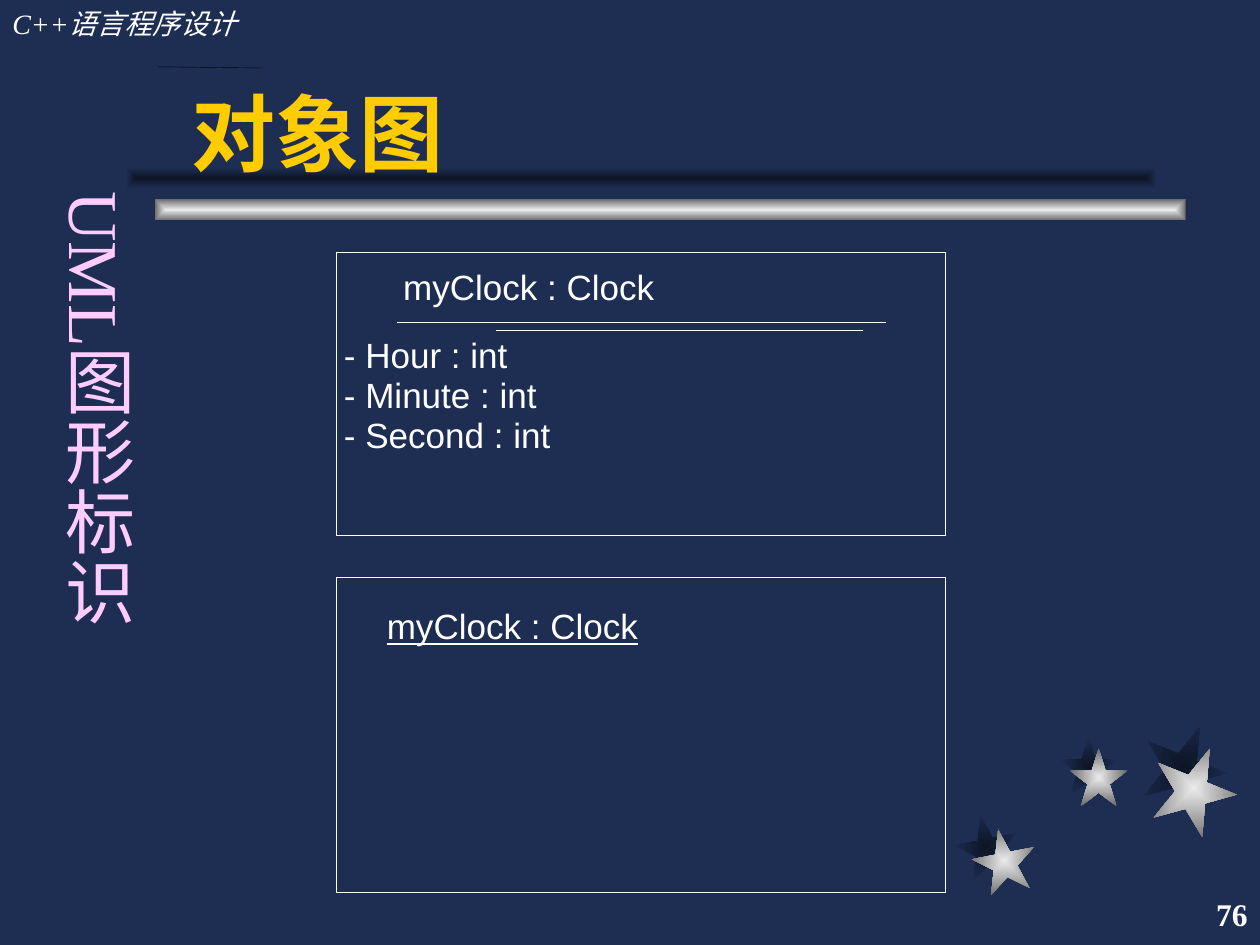
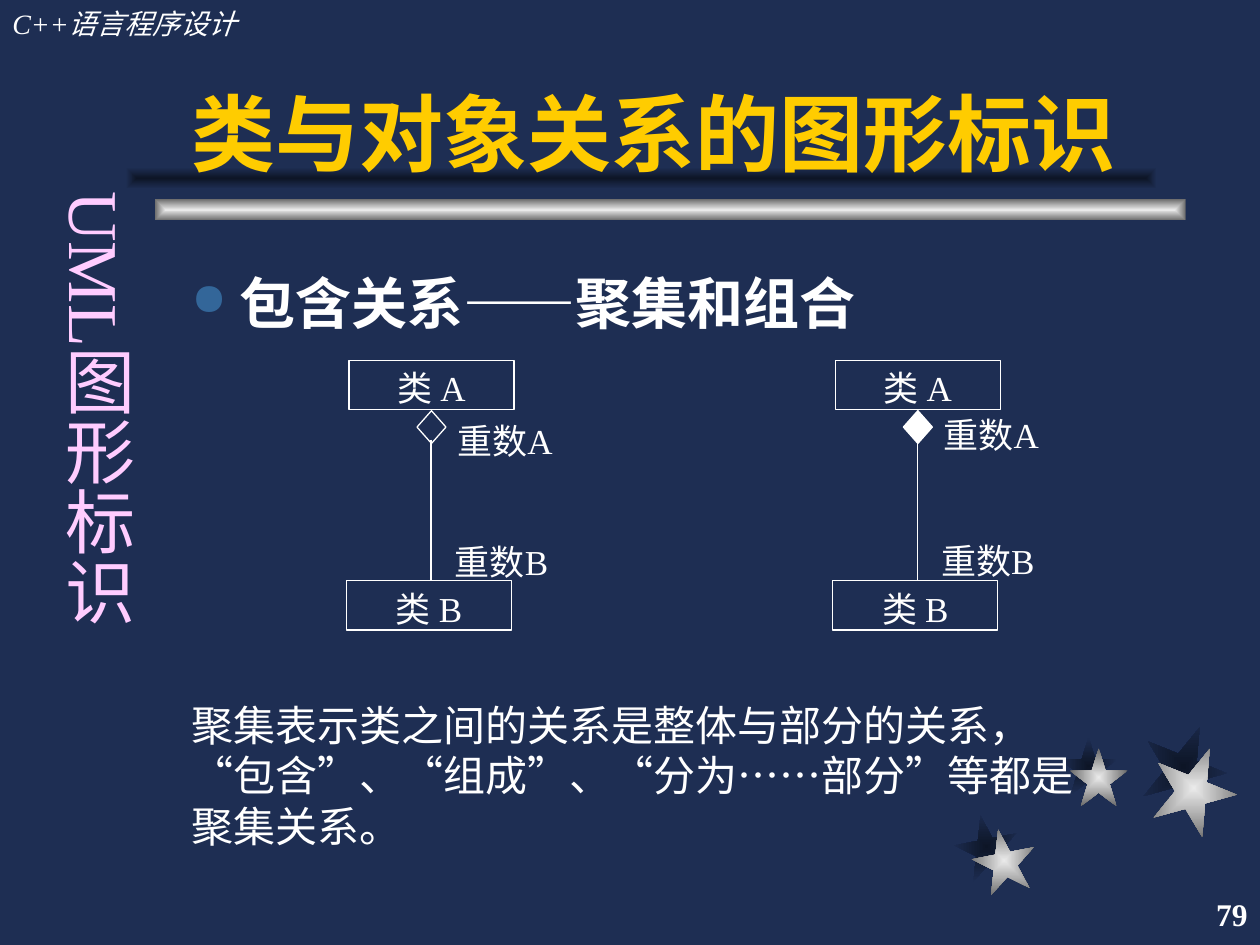
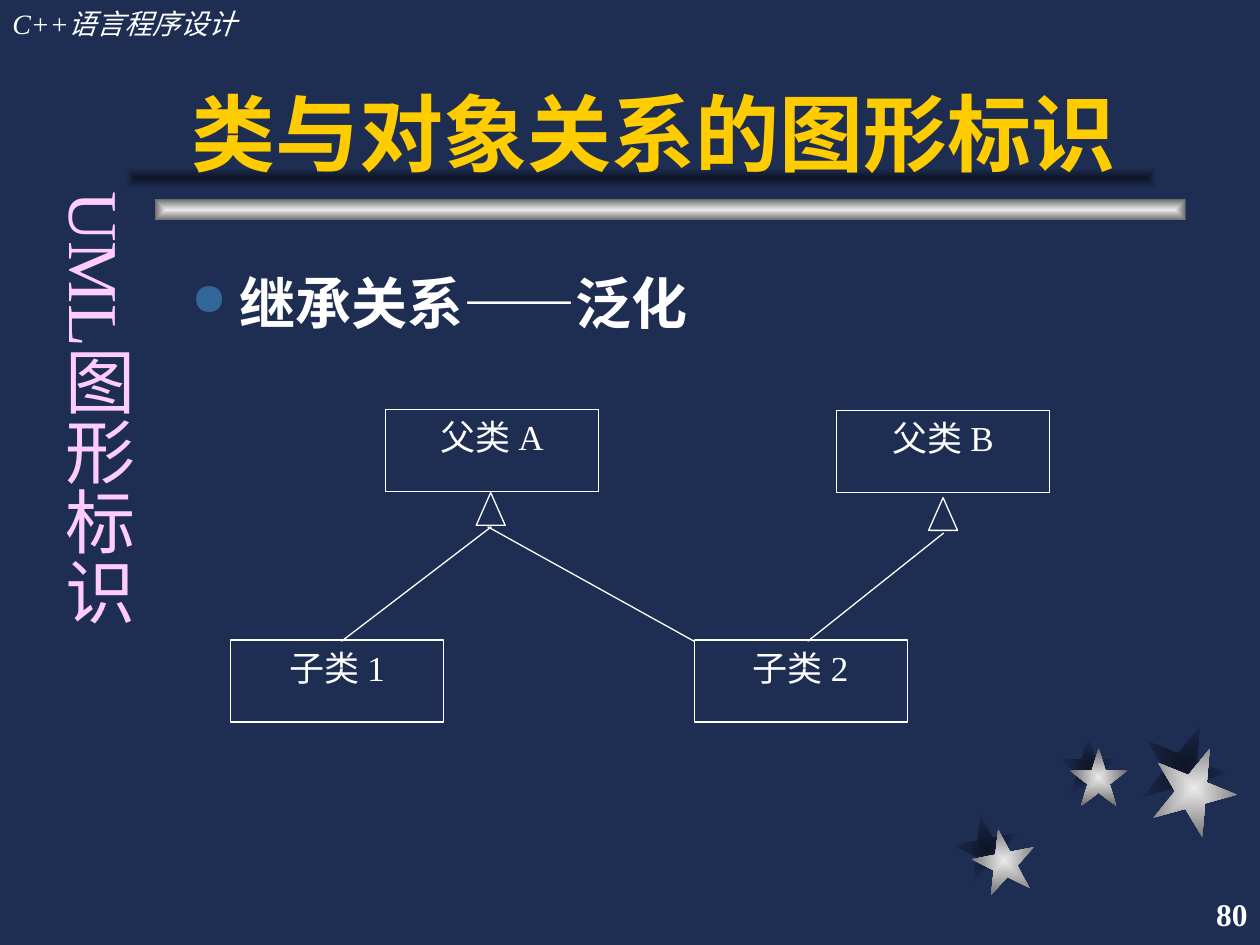
"""Build three slides on UML signs for objects, containment and inheritance."""
from dataclasses import dataclass, replace
from typing import NamedTuple, Optional

from lxml.etree import SubElement
from pptx import Presentation
from pptx.dml.color import RGBColor as Rgb
from pptx.enum.shapes import MSO_CONNECTOR as Link, MSO_SHAPE as Kind
from pptx.enum.text import MSO_ANCHOR as Anchor, MSO_AUTO_SIZE as Fit, PP_ALIGN as Align
from pptx.oxml.ns import qn
from pptx.util import Inches, Pt


@dataclass(frozen=True)
class Look:
    size: float
    font: str = "Times New Roman"
    color: str = "FFFFFF"
    bold: bool = False
    italic: bool = False
    under: bool = False


@dataclass(frozen=True)
class Theme:
    back: str = "1E2E53"
    shade: tuple = ("0D1526", "1E2E53")
    metal: tuple = ("EAEAEA", "6B6B6B")
    white: str = "FFFFFF"
    black: str = "000000"
    dot: str = "336699"
    hair: float = 0.25
    thin: float = 0.75
    head: Look = Look(16, italic=True)
    title: Look = Look(48, "Arial", "FFCC00", bold=True)
    point: Look = Look(32, "Arial", bold=True)
    side: Look = Look(40, color="FFCCFF")
    code: Look = Look(20, "Arial")
    node: Look = Look(20)
    note: Look = Look(24)
    page: Look = Look(18, bold=True)


class Box(NamedTuple):
    left: float
    top: float
    wide: float
    high: float


class Deco(NamedTuple):
    kind: Kind
    box: Box
    tones: tuple
    turn: float = 0


class Line(NamedTuple):
    x1: float
    y1: float
    x2: float
    y2: float


class Node(NamedTuple):
    text: str
    box: Box


T = Theme()
STAR, BAR = Kind.STAR_5_POINT, Kind.RECTANGLE
DECOR = (
    Deco(STAR, Box(7.58, 6.47, 0.5, 0.5), T.shade, 349),
    Deco(STAR, Box(8.41, 5.85, 0.46, 0.46), T.shade),
    Deco(STAR, Box(9.06, 5.75, 0.67, 0.67), T.shade, 22),
    Deco(STAR, Box(7.72, 6.58, 0.5, 0.5), T.metal, 349),
    Deco(STAR, Box(8.49, 5.94, 0.46, 0.46), T.metal),
    Deco(STAR, Box(9.14, 5.92, 0.67, 0.67), T.metal, 22),
    Deco(BAR, Box(1.23, 1.58, 8.18, 0.17), T.metal),
    Deco(BAR, Box(1, 1.33, 8.18, 0.17), T.shade),
)


def place(box: Box) -> list:
    return [Inches(n) for n in box]


def style(para, look: Look, align: Align = Align.LEFT, before: float = 0) -> None:
    para.alignment = align
    para.space_before = Pt(before)
    for run in para.runs:
        font = run.font
        font.name, font.size = look.font, Pt(look.size)
        font.bold, font.italic, font.underline = look.bold, look.italic, look.under
        font.color.rgb = Rgb.from_string(look.color)


def write(slide, text: str, box: Box, look: Look, align: Align = Align.LEFT, before: float = 0):
    shape = slide.shapes.add_textbox(*place(box))
    frame = shape.text_frame
    frame.text, frame.word_wrap = text, True
    style(frame.paragraphs[0], look, align, before)
    return shape


def label(slide, text: str, box: Box, look: Look = T.code) -> None:
    frame = write(slide, text, box, look).text_frame
    frame.word_wrap, frame.auto_size = False, Fit.SHAPE_TO_FIT_TEXT
    frame.margin_left = frame.margin_right = frame.margin_top = frame.margin_bottom = 0


def outline(slide, kind: Kind, box: Box, width: float = T.thin, fill: Optional[str] = None):
    shape = slide.shapes.add_shape(kind, *place(box))
    shape.shadow.inherit = False
    if fill:
        shape.fill.solid()
        shape.fill.fore_color.rgb = Rgb.from_string(fill)
    else:
        shape.fill.background()
    shape.line.width = Pt(width)
    shape.line.color.rgb = Rgb.from_string(T.white)
    return shape


def draw_node(slide, node: Node) -> None:
    frame = outline(slide, BAR, node.box).text_frame
    frame.text, frame.vertical_anchor = node.text, Anchor.TOP
    style(frame.paragraphs[0], T.node, Align.CENTER)


def draw_line(slide, line: Line, width: float = T.thin, color: str = T.white) -> None:
    link = slide.shapes.add_connector(Link.STRAIGHT, *place(line))
    link.line.width = Pt(width)
    link.line.color.rgb = Rgb.from_string(color)
    SubElement(link.element.spPr, qn("a:effectLst"))


def draw_deco(slide, deco: Deco) -> None:
    shape = slide.shapes.add_shape(deco.kind, *place(deco.box))
    shape.shadow.inherit = False
    shape.line.fill.background()
    shape.rotation = deco.turn
    shape.fill.gradient()
    for stop, tone in zip(shape.fill.gradient_stops, deco.tones):
        stop.color.rgb = Rgb.from_string(tone)
    grad = shape.element.spPr.find(qn("a:gradFill"))
    grad.remove(grad.find(qn("a:lin")))
    area = SubElement(grad, qn("a:path"), path="rect")
    SubElement(area, qn("a:fillToRect"), dict.fromkeys("ltrb", "50000"))


def dress(slide, layout) -> None:
    for deco in DECOR:
        draw_deco(slide, deco)
    write(slide, "C++语言程序设计", Box(0, 0, 3.08, 0.37), T.head, before=10)
    parts = [part for part in slide.shapes if not part.is_placeholder]
    for num, part in enumerate(parts, 20):
        part.element.xpath(".//p:cNvPr")[0].set("id", str(num))
        layout.shapes.element.append(part.element)


def start(deck, layout, title: str, page: int):
    slide = deck.slides.add_slide(layout)
    if len(deck.slides) == 1:
        dress(slide, layout)
    head = slide.shapes.title
    head.left, head.top, head.width, head.height = place(Box(1.42, 0.25, 7.83, 1.25))
    frame = head.text_frame
    frame.text, frame.word_wrap = title, True
    frame.auto_size, frame.vertical_anchor = Fit.NONE, Anchor.BOTTOM
    style(frame.paragraphs[0], T.title)
    side = write(slide, "UML图形标识", Box(0.3, 1.42, 0.86, 5.17), T.side).text_frame
    side.margin_left = side.margin_right = Inches(0.05)
    side.margin_top = side.margin_bottom = Inches(0.1)
    side._txBody.bodyPr.set("vert", "eaVert")
    foot = write(slide, str(page), Box(7.92, 7, 2.08, 0.5), T.page, Align.RIGHT)
    foot.text_frame.vertical_anchor = Anchor.MIDDLE
    return slide


def point(slide, text: str) -> None:
    shape = write(slide, text, Box(1.42, 2.08, 7.92, 4.5), T.point, before=8)
    props = shape.text_frame.paragraphs[0]._p.get_or_add_pPr()
    props.set("marL", str(Inches(0.38)))
    props.set("indent", str(-Inches(0.38)))
    SubElement(SubElement(props, qn("a:buClr")), qn("a:srgbClr"), val=T.dot)
    SubElement(props, qn("a:buSzPct"), val="80000")
    SubElement(props, qn("a:buChar"), char="●")


def objects(slide) -> None:
    name = "myClock : Clock"
    outline(slide, BAR, Box(2.67, 2, 4.83, 2.25), T.hair)
    label(slide, name, Box(3.2, 2.11, 2, 0.33))
    for line in (Line(3.15, 2.56, 7.03, 2.56), Line(3.94, 2.62, 6.85, 2.62)):
        draw_line(slide, line, T.hair)
    for row, field in enumerate(("Hour", "Minute", "Second")):
        label(slide, f"- {field} : int", Box(2.73, 2.65 + 0.315 * row, 1.64, 0.33))
    outline(slide, BAR, Box(2.67, 4.58, 4.83, 2.5), T.hair)
    label(slide, name, Box(3.07, 4.8, 2, 0.33), replace(T.code, under=True))
    draw_line(slide, Line(1.25, 0.53, 2.08, 0.54), T.hair, T.black)


def contain(slide, left: float, tops: tuple, fill: Optional[str] = None) -> None:
    draw_node(slide, Node("类 A", Box(left, 2.86, 1.31, 0.39)))
    draw_node(slide, Node("类 B", Box(left - 0.02, 4.61, 1.31, 0.39)))
    outline(slide, Kind.DIAMOND, Box(left + 0.54, 3.26, 0.23, 0.26), fill=fill)
    draw_line(slide, Line(left + 0.65, 3.49, left + 0.65, 4.6))
    for text, shift, top in zip(("重数A", "重数B"), (0.76, 0.74), tops):
        write(slide, text, Box(left + shift, top, 1.31, 0.42), T.node, Align.JUSTIFY)


def inherit(slide) -> None:
    spots = (("父类 A", 3.06, 3.25), ("父类 B", 6.64, 3.26),
             ("子类 1", 1.83, 5.08), ("子类 2", 5.51, 5.08))
    for text, left, top in spots:
        draw_node(slide, Node(text, Box(left, top, 1.69, 0.65)))
    for left, top in ((3.78, 3.91), (7.37, 3.95)):
        outline(slide, Kind.ISOSCELES_TRIANGLE, Box(left, top, 0.23, 0.26))
    for line in (Line(3.87, 4.18, 5.51, 5.09), Line(3.9, 4.18, 2.71, 5.09),
                 Line(7.49, 4.23, 6.41, 5.09)):
        draw_line(slide, line)


def main() -> None:
    deck = Presentation()
    deck.slide_width, deck.slide_height = Inches(10), Inches(7.5)
    back = deck.slide_master.background.fill
    back.solid()
    back.fore_color.rgb = Rgb.from_string(T.back)
    layout = deck.slide_layouts.get_by_name("Title Only")

    objects(start(deck, layout, "对象图", 76))

    title = "类与对象关系的图形标识"
    slide = start(deck, layout, title, 79)
    point(slide, "包含关系——聚集和组合")
    contain(slide, 2.77, (3.28, 4.24))
    contain(slide, 6.63, (3.23, 4.23), T.white)
    note = "聚集表示类之间的关系是整体与部分的关系，“包含”、“组成”、“分为……部分”等都是聚集关系。"
    write(slide, note, Box(1.42, 5.5, 7.5, 1.91), T.note, before=15)

    slide = start(deck, layout, title, 80)
    point(slide, "继承关系——泛化")
    inherit(slide)
    deck.save("out.pptx")


if __name__ == "__main__":
    main()
